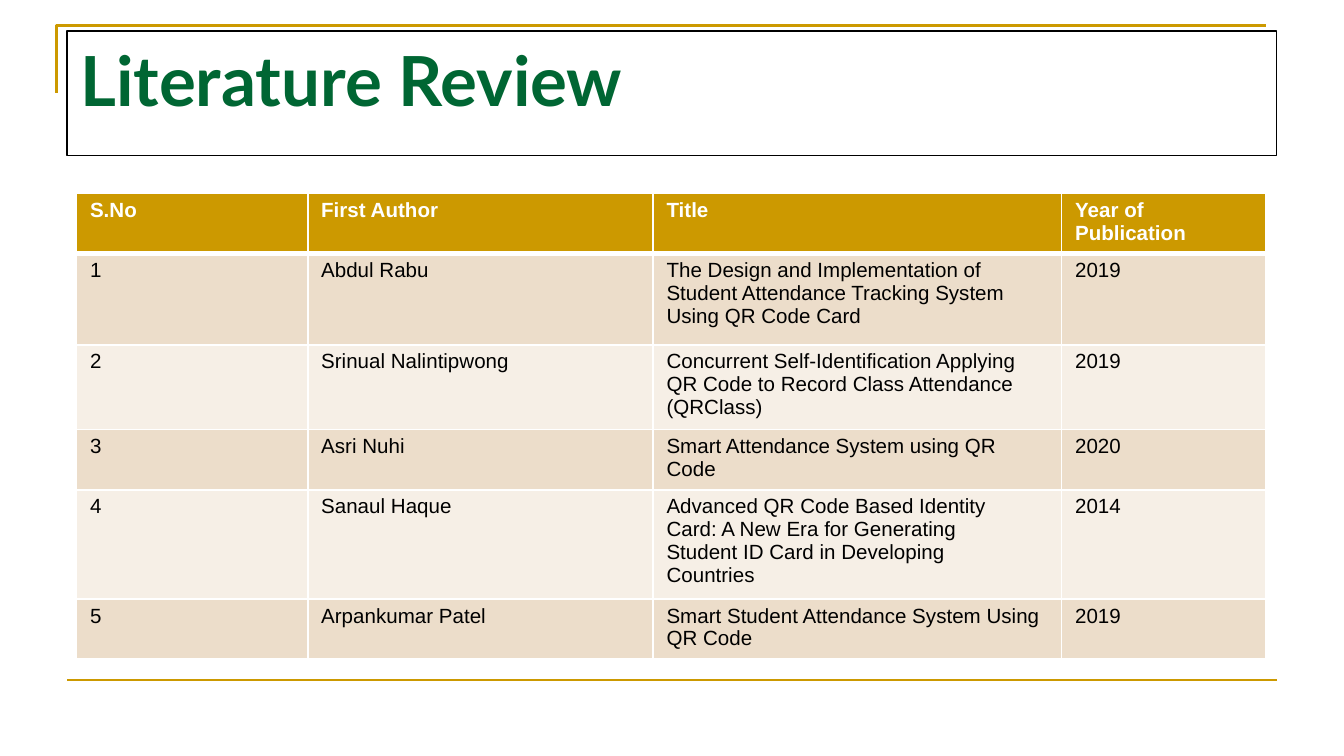
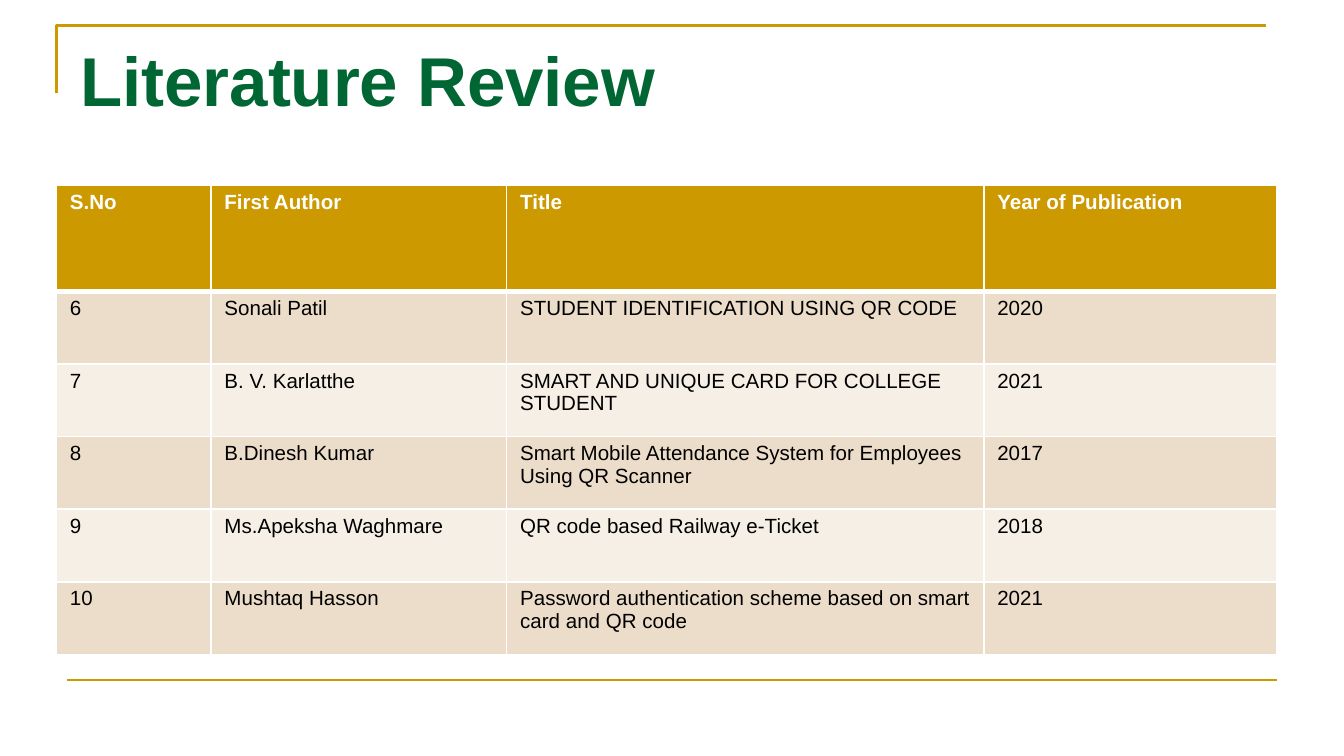
from dataclasses import dataclass

from pptx import Presentation
from pptx.dml.color import RGBColor
from pptx.enum.shapes import MSO_CONNECTOR
from pptx.enum.text import MSO_ANCHOR, PP_ALIGN
from pptx.oxml.ns import qn
from pptx.util import Inches, Pt
from lxml.etree import SubElement


@dataclass(frozen=True)
class Theme:
    """Colours, fonts and sizes shared by the slides."""

    gold: str = "CC9900"
    green: str = "006633"
    white: str = "FFFFFF"
    black: str = "000000"
    bands: tuple = ("ECDDCA", "F6EFE6")
    body_font: str = "Arial"
    title_size: float = 37
    table_size: float = 11
    rule_width: float = 1.5
    outline_width: float = 0.75
    grid_width: float = 1
    header_width: float = 3


THEME = Theme()
SLIDE_WIDTH = Inches(10)
SLIDE_HEIGHT = SLIDE_WIDTH * 9 // 16
FRAME_BOX = (0.42, 0.19, 9, 0.5)
FOOTER_BOX = (0.5, 5.06, 9, 0)
TITLE_BOX = (0.5, 0.23, 9, 0.93)
TABLE_SIDE = 3.28
HEADINGS = ("S.No", "First Author", "Title", "Year of Publication")

REVIEWS = (
    {
        "title_font": "Lato",
        "outlined": True,
        "origin": (0.57, 1.44),
        "columns": (1.72, 2.57, 3.04, 1.52),
        "heights": (0.44, 0.68, 0.41, 0.41, 0.41, 0.41),
        "papers": (
            ("1", "Abdul Rabu", "The Design and Implementation of Student Attendance Tracking System Using QR Code Card", "2019"),
            ("2", "Srinual Nalintipwong", "Concurrent Self-Identification Applying QR Code to Record Class Attendance (QRClass)", "2019"),
            ("3", "Asri Nuhi", "Smart Attendance System using QR Code", "2020"),
            ("4", "Sanaul Haque", "Advanced QR Code Based Identity\nCard: A New Era for Generating\nStudent ID Card in Developing\nCountries", "2014"),
            ("5", "Arpankumar Patel", "Smart Student Attendance System Using QR Code", "2019"),
        ),
    },
    {
        "title_font": THEME.body_font,
        "outlined": False,
        "origin": (0.42, 1.38),
        "columns": (1.15, 2.2, 3.55, 2.18),
        "heights": (0.79,) + (0.54,) * 5,
        "papers": (
            ("6", "Sonali Patil", "STUDENT IDENTIFICATION USING QR CODE", "2020"),
            ("7", "B. V. Karlatthe", "SMART AND UNIQUE CARD FOR COLLEGE STUDENT", "2021"),
            ("8", "B.Dinesh Kumar", "Smart Mobile Attendance System for Employees Using QR Scanner", "2017"),
            ("9", "Ms.Apeksha Waghmare", "QR code based Railway e-Ticket", "2018"),
            ("10", "Mushtaq Hasson", "Password authentication scheme based on smart card and QR code", "2021"),
        ),
    },
)


def set_attributes(target, values):
    """Set each named attribute of the target."""
    for name, value in values.items():
        setattr(target, name, value)


def style_line(line, color, width):
    """Give a line its colour and width in points."""
    line.color.rgb = RGBColor.from_string(color)
    line.width = Pt(width)


def write_text(text_frame, text, font, size, color, bold):
    """Write left-aligned text, one paragraph for each line."""
    text_frame.text = text
    for paragraph in text_frame.paragraphs:
        paragraph.alignment = PP_ALIGN.LEFT
        run_font = paragraph.runs[0].font
        set_attributes(run_font, {"name": font, "size": Pt(size), "bold": bold})
        run_font.color.rgb = RGBColor.from_string(color)


def add_frame(slide, box):
    """Draw the corner rule along the left and top of the box."""
    left, top, width, height = map(Inches, box)
    builder = slide.shapes.build_freeform(left, top + height)
    builder.add_line_segments([(left, top), (left + width, top)], close=False)
    corner = builder.convert_to_shape()
    corner.shadow.inherit = False
    corner.fill.background()
    style_line(corner.line, THEME.gold, THEME.rule_width)


def add_footer_rule(slide, box):
    """Draw the rule across the foot of the slide."""
    left, top, width, height = map(Inches, box)
    rule = slide.shapes.add_connector(
        MSO_CONNECTOR.STRAIGHT, left, top, left + width, top + height
    )
    style_line(rule.line, THEME.gold, THEME.rule_width)
    SubElement(rule._element.spPr, qn("a:effectLst"))


def add_title(slide, box, font, outlined):
    """Add the slide title, with a thin outline if wanted."""
    title = slide.shapes.add_textbox(*map(Inches, box))
    set_attributes(title.text_frame, {
        "word_wrap": True,
        "vertical_anchor": MSO_ANCHOR.TOP,
        "margin_left": Inches(0.1),
        "margin_right": Inches(0.1),
        "margin_top": Inches(0.05),
        "margin_bottom": Inches(0.05),
    })
    write_text(title.text_frame, "Literature Review", font, THEME.title_size, THEME.green, True)
    if outlined:
        style_line(title.line, THEME.black, THEME.outline_width)


def set_borders(cell, top_width, bottom_width):
    """Give a cell white borders on its four sides."""
    properties = cell._tc.get_or_add_tcPr()
    widths = {"L": THEME.grid_width, "R": THEME.grid_width, "T": top_width, "B": bottom_width}
    for side, width in widths.items():
        border = SubElement(properties, qn(f"a:ln{side}"), w=str(Pt(width)))
        fill = SubElement(border, qn("a:solidFill"))
        SubElement(fill, qn("a:srgbClr"), val=THEME.white)


def format_cell(cell, text, row_index):
    """Fill in a cell by the rule for its row."""
    is_header = row_index == 0
    set_attributes(cell, {
        "margin_left": Inches(0.1),
        "margin_right": Inches(0.1),
        "margin_top": Inches(0.04),
        "margin_bottom": Inches(0.04),
        "vertical_anchor": MSO_ANCHOR.TOP,
    })
    set_borders(
        cell,
        THEME.header_width if row_index == 1 else THEME.grid_width,
        THEME.header_width if is_header else THEME.grid_width,
    )
    cell.fill.solid()
    background = THEME.gold if is_header else THEME.bands[(row_index - 1) % 2]
    cell.fill.fore_color.rgb = RGBColor.from_string(background)
    color = THEME.white if is_header else THEME.black
    write_text(cell.text_frame, text, THEME.body_font, THEME.table_size, color, is_header)


def add_review_table(slide, origin, columns, heights, papers):
    """Add the table of reviewed papers with its top left at the origin."""
    box = (*origin, TABLE_SIDE, TABLE_SIDE)
    table_frame = slide.shapes.add_table(len(heights), len(columns), *map(Inches, box))
    table = table_frame.table
    for column, width in zip(table.columns, columns):
        column.width = Inches(width)
    for row, height in zip(table.rows, heights):
        row.height = Inches(height)
    set_attributes(table_frame, {"width": Inches(TABLE_SIDE), "height": Inches(TABLE_SIDE)})
    for row_index, texts in enumerate((HEADINGS, *papers)):
        for column_index, text in enumerate(texts):
            format_cell(table.cell(row_index, column_index), text, row_index)


def add_review_slide(presentation, review):
    """Add one literature review slide."""
    slide = presentation.slides.add_slide(presentation.slide_layouts[6])
    add_frame(slide, FRAME_BOX)
    add_footer_rule(slide, FOOTER_BOX)
    add_title(slide, TITLE_BOX, review["title_font"], review["outlined"])
    add_review_table(
        slide, review["origin"], review["columns"], review["heights"], review["papers"]
    )


def main():
    """Build and save the presentation."""
    presentation = Presentation()
    set_attributes(presentation, {"slide_width": SLIDE_WIDTH, "slide_height": SLIDE_HEIGHT})
    for review in REVIEWS:
        add_review_slide(presentation, review)
    presentation.save("out.pptx")


if __name__ == "__main__":
    main()
